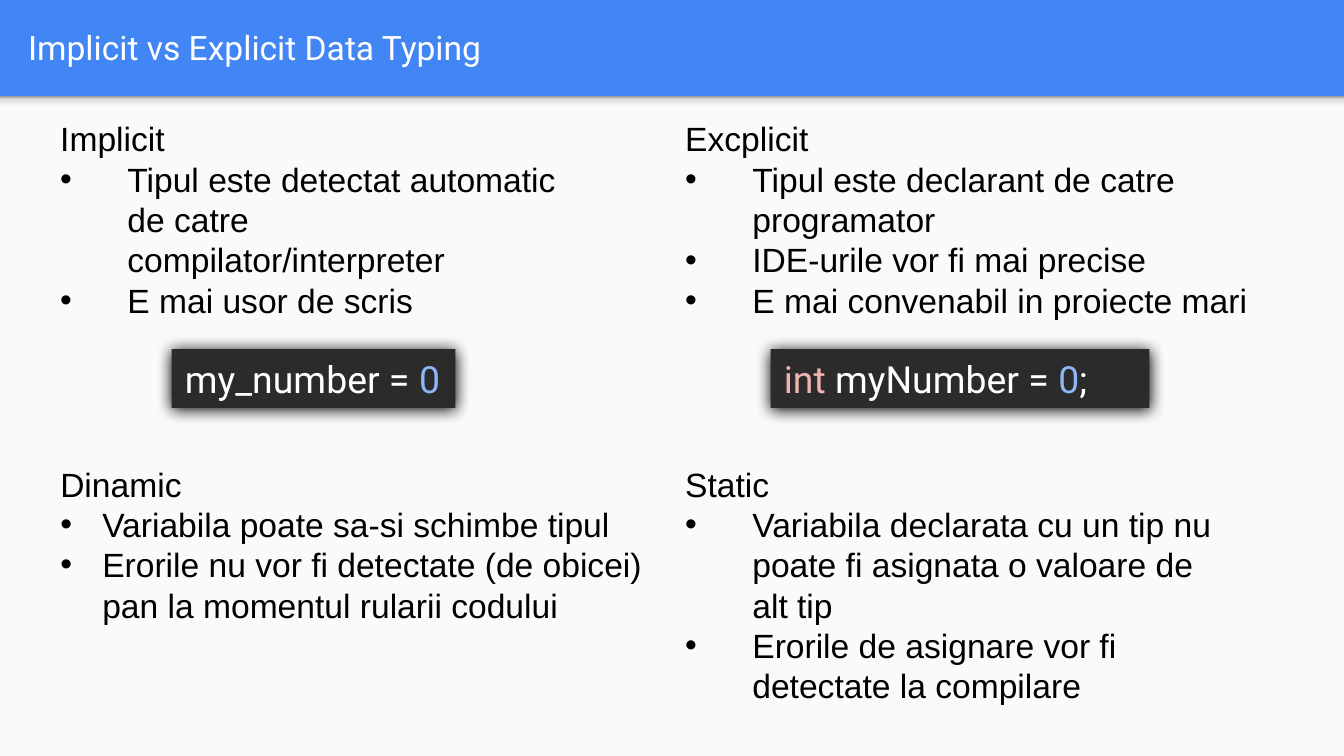
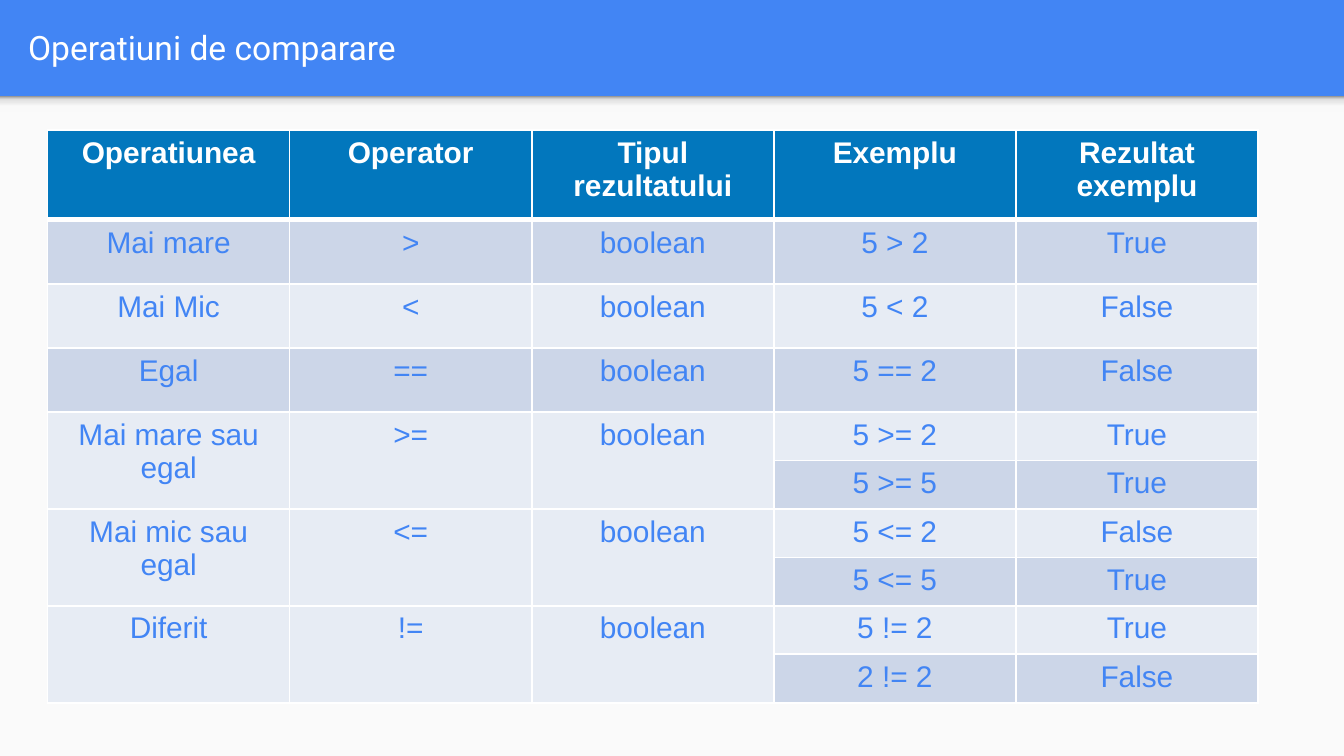
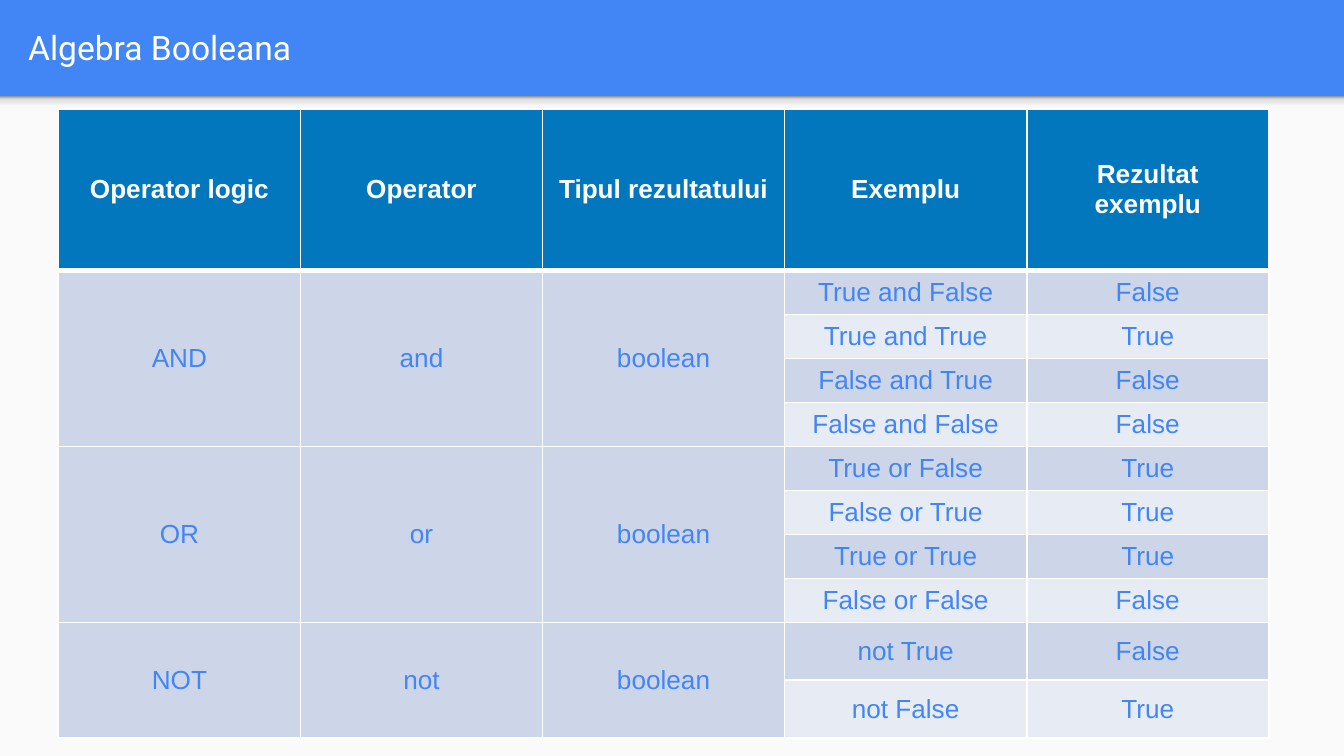
import pptx
import pptx.dml.color
import pptx.enum.shapes
import pptx.enum.text
import pptx.oxml
import pptx.oxml.ns
import pptx.util

Pt = pptx.util.Pt
RGBColor = pptx.dml.color.RGBColor
MSO_SHAPE = pptx.enum.shapes.MSO_SHAPE
MSO_ANCHOR = pptx.enum.text.MSO_ANCHOR
MSO_AUTO_SIZE = pptx.enum.text.MSO_AUTO_SIZE
PP_ALIGN = pptx.enum.text.PP_ALIGN
qn = pptx.oxml.ns.qn

BLUE = RGBColor(0x42, 0x85, 0xF4)
PAPER = RGBColor(0xFA, 0xFA, 0xFA)
WHITE = RGBColor(0xFF, 0xFF, 0xFF)
BLACK = RGBColor(0x00, 0x00, 0x00)
HEADER_BLUE = RGBColor(0x02, 0x77, 0xBD)
ROW_DARK = RGBColor(0xCC, 0xD6, 0xE8)
ROW_LIGHT = RGBColor(0xE7, 0xEC, 0xF4)
CODE_BACK = RGBColor(0x2B, 0x2B, 0x2B)
CODE_NUMBER = RGBColor(0x8E, 0xB6, 0xF8)
CODE_TYPE = RGBColor(0xF1, 0xB4, 0xAF)
STRIP_STOPS = [
    (0, RGBColor(0xF9, 0xF9, 0xF9)),
    (36, RGBColor(0xF9, 0xF9, 0xF9)),
    (80, RGBColor(0xDE, 0xDE, 0xDE)),
    (100, RGBColor(0x99, 0x99, 0x99)),
]

SLIDE_WIDTH, SLIDE_HEIGHT, BAND_HEIGHT = 720, 405, 51.5
TITLE_BOX = (8, 1.5, 695, 47.5)
COLUMN_WIDTH = 129.7
CELL_MARGIN = 3.4

NOTES = [
    ((25.2, 59.8, 285, 116.6), 36, "Implicit", [
        "Tipul este detectat automatic de catre compilator/interpreter",
        "E mai usor de scris"]),
    ((360, 59.8, 334.8, 116.6), 36, "Excplicit", [
        "Tipul este declarant de catre programator",
        "IDE-urile vor fi mai precise",
        "E mai convenabil in proiecte mari"]),
    ((360, 244.8, 309.6, 138.2), 36, "Static", [
        "Variabila declarata cu un tip nu poate fi asignata o valoare de alt tip",
        "Erorile de asignare vor fi detectate la compilare"]),
    ((25.2, 244.8, 334.8, 94.3), 22.5, "Dinamic", [
        "Variabila poate sa-si schimbe tipul",
        "Erorile nu vor fi detectate (de obicei) pan la momentul rularii codului"]),
]
CODE_LINES = [
    ((92, 187, 152, 31.5), [("my_number = ", WHITE), ("0", CODE_NUMBER)]),
    ((412.8, 187, 203, 31.5), [
        ("int ", CODE_TYPE), ("myNumber = ", WHITE), ("0", CODE_NUMBER), (";", WHITE)]),
]

RESULT_HEADERS = ["Operator", "Tipul rezultatului", "Exemplu", "Rezultat exemplu"]
COMPARISONS = [
    ("Mai mare", ">", [("5 > 2", "True")]),
    ("Mai Mic", "<", [("5 < 2", "False")]),
    ("Egal", "==", [("5 == 2", "False")]),
    ("Mai mare sau egal", ">=", [("5 >= 2", "True"), ("5 >= 5", "True")]),
    ("Mai mic sau egal", "<=", [("5 <= 2", "False"), ("5 <= 5", "True")]),
    ("Diferit", "!=", [("5 != 2", "True"), ("2 != 2", "False")]),
]
LOGIC = [
    ("AND", "and", [("True and False", "False"), ("True and True", "True"),
                    ("False and True", "False"), ("False and False", "False")]),
    ("OR", "or", [("True or False", "True"), ("False or True", "True"),
                  ("True or True", "True"), ("False or False", "False")]),
    ("NOT", "not", [("not True", "False"), ("not False", "True")]),
]


def points(*lengths):
    """Convert plain numbers to lengths in points."""
    return [Pt(length) for length in lengths]


def add_node(parent, tag, **attributes):
    """Append an XML child with the given attributes."""
    node = pptx.oxml.parse_xml(f"<{tag} {pptx.oxml.ns.nsdecls('a')}/>")
    for name, value in attributes.items():
        node.set(name, str(value))
    parent.append(node)
    return node


def add_text(paragraph, text, font="Arial", size=18, color=BLACK, bold=False, align=PP_ALIGN.LEFT):
    """Add a formatted run to a paragraph."""
    paragraph.alignment = align
    run = paragraph.add_run()
    run.text = text
    run.font.name = font
    run.font.size = Pt(size)
    run.font.color.rgb = color
    run.font.bold = bold


def add_bullet(paragraph, indent):
    """Give a paragraph a round bullet with a hanging indent."""
    properties = paragraph._p.get_or_add_pPr()
    properties.set("marL", str(Pt(indent)))
    properties.set("indent", str(-Pt(indent)))
    add_node(add_node(properties, "a:buClr"), "a:srgbClr", val=BLACK)
    add_node(properties, "a:buFont", typeface="Arial")
    add_node(properties, "a:buChar", char="•")


def add_rectangle(slide, box, color):
    """Draw a plain filled rectangle."""
    shape = slide.shapes.add_shape(MSO_SHAPE.RECTANGLE, *points(*box))
    shape.shadow.inherit = False
    shape.fill.solid()
    shape.fill.fore_color.rgb = color
    shape.line.fill.background()
    return shape


def add_text_box(slide, box):
    """Add a wrapping text box and return its text frame."""
    frame = slide.shapes.add_textbox(*points(*box)).text_frame
    frame.word_wrap = True
    return frame


def add_strip(slide, box):
    """Draw the soft shade under the title band."""
    strip = add_rectangle(slide, box, PAPER)
    strip.fill.gradient()
    strip.fill.gradient_angle = 90
    stops = strip.element.spPr.find(qn("a:gradFill")).find(qn("a:gsLst"))
    for stop in list(stops):
        stops.remove(stop)
    for position, color in STRIP_STOPS:
        add_node(add_node(stops, "a:gs", pos=position * 1000), "a:srgbClr", val=color)


def add_titled_slide(presentation, title):
    """Start a slide with the blue title band and the pale body."""
    slide = presentation.slides.add_slide(presentation.slide_layouts[6])
    slide.background.fill.solid()
    slide.background.fill.fore_color.rgb = BLUE
    add_rectangle(slide, (0, BAND_HEIGHT, SLIDE_WIDTH, SLIDE_HEIGHT - BAND_HEIGHT), PAPER)
    add_strip(slide, (0, BAND_HEIGHT, SLIDE_WIDTH, 8.6))
    frame = add_text_box(slide, TITLE_BOX)
    frame.vertical_anchor = MSO_ANCHOR.MIDDLE
    frame.margin_top = frame.margin_bottom = Pt(7.2)
    add_text(frame.paragraphs[0], title, font="Roboto", color=WHITE)
    return slide


def add_note(slide, box, indent, heading, items):
    """Write a heading with its bulleted items."""
    frame = add_text_box(slide, box)
    frame.auto_size = MSO_AUTO_SIZE.SHAPE_TO_FIT_TEXT
    add_text(frame.paragraphs[0], heading)
    for item in items:
        paragraph = frame.add_paragraph()
        add_text(paragraph, item)
        add_bullet(paragraph, indent)


def add_code_line(slide, box, pieces):
    """Draw a dark shadowed box with one line of coloured code."""
    shape = add_rectangle(slide, box, CODE_BACK)
    effects = shape.element.spPr.find(qn("a:effectLst"))
    shadow = add_node(effects, "a:outerShdw", blurRad=Pt(8.5), dist=Pt(1), dir=90 * 60000)
    add_node(shadow, "a:srgbClr", val=BLACK)
    frame = shape.text_frame
    frame.word_wrap = True
    frame.auto_size = MSO_AUTO_SIZE.SHAPE_TO_FIT_TEXT
    frame.vertical_anchor = MSO_ANCHOR.MIDDLE
    for text, color in pieces:
        add_text(frame.paragraphs[0], text, font="Roboto", size=20, color=color)


def format_cell(cell, row, size, anchor):
    """Set the borders, fill and margins of a cell by its row."""
    properties = cell._tc.get_or_add_tcPr()
    widths = {"L": 1, "R": 1, "T": 3 if row == 1 else 1, "B": 3 if row == 0 else 1}
    for side, width in widths.items():
        line = add_node(properties, f"a:ln{side}", w=Pt(width))
        add_node(add_node(line, "a:solidFill"), "a:srgbClr", val=WHITE)
    cell.fill.solid()
    cell.fill.fore_color.rgb = HEADER_BLUE if row == 0 else ROW_DARK if row % 2 else ROW_LIGHT
    cell.margin_top = cell.margin_bottom = Pt(CELL_MARGIN)
    cell.vertical_anchor = anchor


def add_operator_table(slide, corner, row_heights, first_header, groups, size, anchor):
    """Build a table of operators whose first three columns span their examples."""
    headers = [first_header] + RESULT_HEADERS
    box = (*corner, COLUMN_WIDTH * len(headers), sum(row_heights))
    table = slide.shapes.add_table(len(row_heights), len(headers), *points(*box)).table
    for column in table.columns:
        column.width = Pt(COLUMN_WIDTH)
    for row, height in enumerate(row_heights):
        table.rows[row].height = Pt(height)
        for column in range(len(headers)):
            format_cell(table.cell(row, column), row, size, anchor)

    def write(row, column, text):
        """Write the text of one cell."""
        add_text(table.cell(row, column).text_frame.paragraphs[0], text, size=size,
                 color=BLUE if row else WHITE, bold=row == 0, align=PP_ALIGN.CENTER)

    for column, header in enumerate(headers):
        write(0, column, header)
    row = 1
    for name, operator, examples in groups:
        for column, text in enumerate((name, operator, "boolean")):
            write(row, column, text)
            if len(examples) > 1:
                table.cell(row, column).merge(table.cell(row + len(examples) - 1, column))
        for example, result in examples:
            write(row, 3, example)
            write(row, 4, result)
            row += 1


def build_typing_slide(presentation):
    """Build the slide that compares ways of typing data."""
    slide = add_titled_slide(presentation, "Implicit vs Explicit Data Typing")
    for note in NOTES:
        add_note(slide, *note)
    for code_line in CODE_LINES:
        add_code_line(slide, *code_line)


def build_comparison_slide(presentation):
    """Build the slide of comparison operators."""
    slide = add_titled_slide(presentation, "Operatiuni de comparare")
    add_operator_table(slide, (25.5, 69.8), [48] + [34.3] * 3 + [25] * 6,
                       "Operatiunea", COMPARISONS, 16, MSO_ANCHOR.TOP)


def build_logic_slide(presentation):
    """Build the slide of boolean operators."""
    slide = add_titled_slide(presentation, "Algebra Booleana")
    add_operator_table(slide, (31.3, 58.3), [86.5] + [22.9] * 8 + [31] * 2,
                       "Operator logic", LOGIC, 14, MSO_ANCHOR.MIDDLE)


def main():
    """Build and save the presentation."""
    presentation = pptx.Presentation()
    presentation.slide_width = Pt(SLIDE_WIDTH)
    presentation.slide_height = Pt(SLIDE_HEIGHT)
    build_typing_slide(presentation)
    build_comparison_slide(presentation)
    build_logic_slide(presentation)
    presentation.save("out.pptx")


if __name__ == "__main__":
    main()
